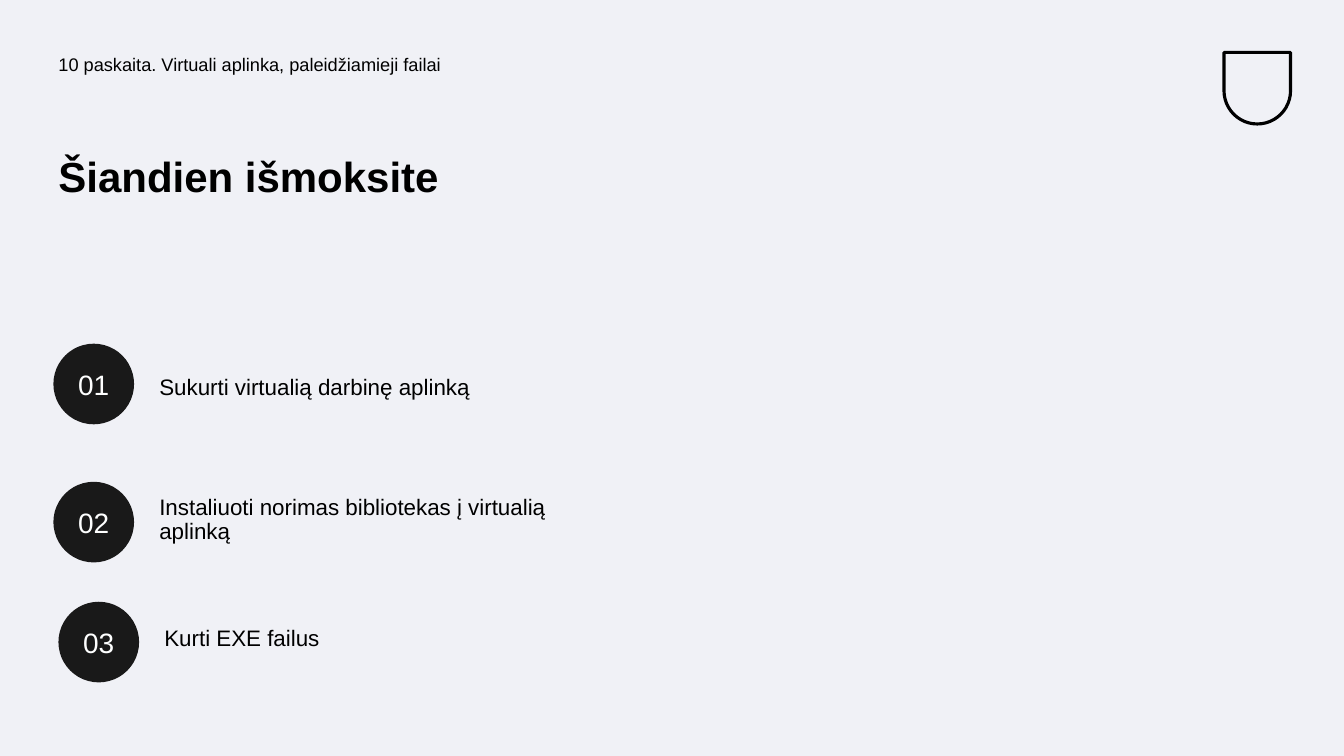
from dataclasses import dataclass

from lxml import etree
from pptx import Presentation
from pptx.dml.color import RGBColor
from pptx.enum.shapes import MSO_SHAPE
from pptx.enum.text import MSO_ANCHOR, MSO_AUTO_SIZE, PP_ALIGN
from pptx.oxml.ns import qn
from pptx.util import Inches, Pt

OVAL = MSO_SHAPE.OVAL
SHIELD = MSO_SHAPE.ROUND_2_SAME_RECTANGLE
TOP, MIDDLE = MSO_ANCHOR.TOP, MSO_ANCHOR.MIDDLE
LEFT, CENTER = PP_ALIGN.LEFT, PP_ALIGN.CENTER
NO_AUTOFIT = MSO_AUTO_SIZE.NONE

COLUMNS, ROWS = 133.3, 75
COMPARISON_LAYOUT = 4
BADGE_SIZE = 8
STEP_INDENT = 10

STEPS = [
    ("Sukurti virtualią darbinę aplinką", 5.3, 34.1, 36.8),
    ("Instaliuoti norimas bibliotekas į virtualią aplinką", 5.3, 47.8, 48.7),
    ("Kurti EXE failus", 5.8, 59.7, 61.7),
]


@dataclass(frozen=True)
class Theme:
    """Colours, typeface and type sizes of the slide."""

    background: RGBColor = RGBColor(0xF0, 0xF1, 0xF6)
    ink: RGBColor = RGBColor(0, 0, 0)
    badge: RGBColor = RGBColor(0x19, 0x19, 0x19)
    badge_text: RGBColor = RGBColor(0xFE, 0xFF, 0xFF)
    font: str = "Arial"
    header_size: int = 13
    title_size: int = 30
    step_size: int = 16
    badge_size: int = 20


def apply_format(target, values):
    """Set every attribute named in values on the target."""
    for name, value in values.items():
        setattr(target, name, value)


class SlideBuilder:
    """Draws themed elements on one slide by grid columns and rows."""

    def __init__(self, presentation, theme):
        """Add a slide and paint its background."""
        self.theme = theme
        self.column = presentation.slide_width / COLUMNS
        self.row = presentation.slide_height / ROWS
        layout = presentation.slide_layouts[COMPARISON_LAYOUT]
        self.slide = presentation.slides.add_slide(layout)
        self.slide.background.fill.solid()
        self.slide.background.fill.fore_color.rgb = theme.background

    def box(self, left, top, width, height):
        """Turn grid units into position and size values."""
        return {
            "left": round(left * self.column),
            "top": round(top * self.row),
            "width": round(width * self.column),
            "height": round(height * self.row),
        }

    def set_text(self, shape, text, size, color, anchor=TOP, align=LEFT, bold=False):
        """Put one formatted paragraph into a shape."""
        frame = shape.text_frame
        margins = dict.fromkeys(
            ("margin_left", "margin_top", "margin_right", "margin_bottom"), Inches(0.05)
        )
        apply_format(frame, {
            "text": text, "word_wrap": True, "auto_size": NO_AUTOFIT,
            "vertical_anchor": anchor, **margins,
        })
        paragraph = frame.paragraphs[0]
        paragraph.alignment = align
        font = paragraph.runs[0].font
        apply_format(font, {"name": self.theme.font, "size": Pt(size), "bold": bold})
        font.color.rgb = color
        return paragraph

    def title(self, text, *place):
        """Fill and place the title."""
        shape = self.slide.shapes.title
        apply_format(shape, self.box(*place))
        paragraph = self.set_text(
            shape, text, self.theme.title_size, self.theme.ink, bold=True
        )
        paragraph.line_spacing = 0.9

    def body(self, index, text, size, *place):
        """Fill and place a body placeholder without a bullet."""
        shape = self.slide.placeholders[index]
        apply_format(shape, self.box(*place))
        paragraph = self.set_text(shape, text, size, self.theme.ink)
        apply_format(paragraph, {"line_spacing": 0.9, "space_before": Pt(10)})
        properties = paragraph._p.get_or_add_pPr()
        properties.set("marL", "0")
        properties.set("indent", "0")
        etree.SubElement(properties, qn("a:buNone"))

    def badge(self, text, left, top):
        """Draw a numbered circle."""
        place = self.box(left, top, BADGE_SIZE, BADGE_SIZE)
        shape = self.slide.shapes.add_shape(OVAL, **place)
        shape.shadow.inherit = False
        shape.fill.solid()
        shape.fill.fore_color.rgb = self.theme.badge
        shape.line.fill.background()
        self.set_text(
            shape, text, self.theme.badge_size, self.theme.badge_text, MIDDLE, CENTER
        )

    def shield(self, *place):
        """Draw a plain outlined shield."""
        shape = self.slide.shapes.add_shape(SHIELD, **self.box(*place))
        shape.adjustments[0] = 0
        shape.adjustments[1] = 0.5
        shape.shadow.inherit = False
        shape.fill.background()
        shape.line.color.rgb = self.theme.ink
        shape.line.width = Pt(2.25)


def main():
    """Build and save the presentation."""
    presentation = Presentation()
    apply_format(
        presentation, {"slide_width": Inches(13.33), "slide_height": Inches(7.5)}
    )
    theme = Theme()
    builder = SlideBuilder(presentation, theme)
    builder.shield(121.4, 5.2, 6.6, 7.1)
    builder.body(
        1, "10 paskaita. Virtuali aplinka, paleidžiamieji failai",
        theme.header_size, 5.3, 5, 61.4, 4.9,
    )
    builder.title("Šiandien išmoksite", 5.3, 15, 56.3, 14.9)
    for number, (text, left, badge_top, text_top) in enumerate(STEPS, start=1):
        builder.badge(f"{number:02}", left, badge_top)
        builder.body(
            number + 1, text, theme.step_size, left + STEP_INDENT, text_top, 46.3, 5
        )
    presentation.save("out.pptx")


if __name__ == "__main__":
    main()
